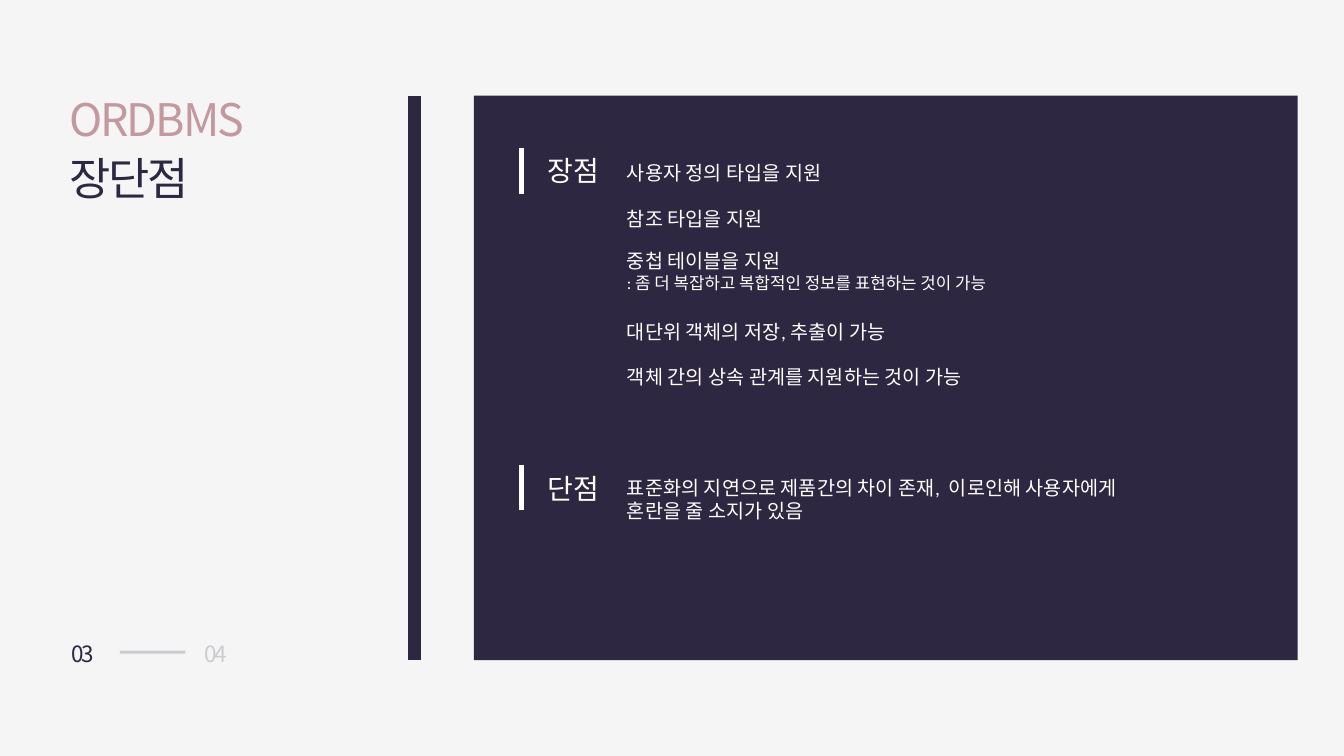
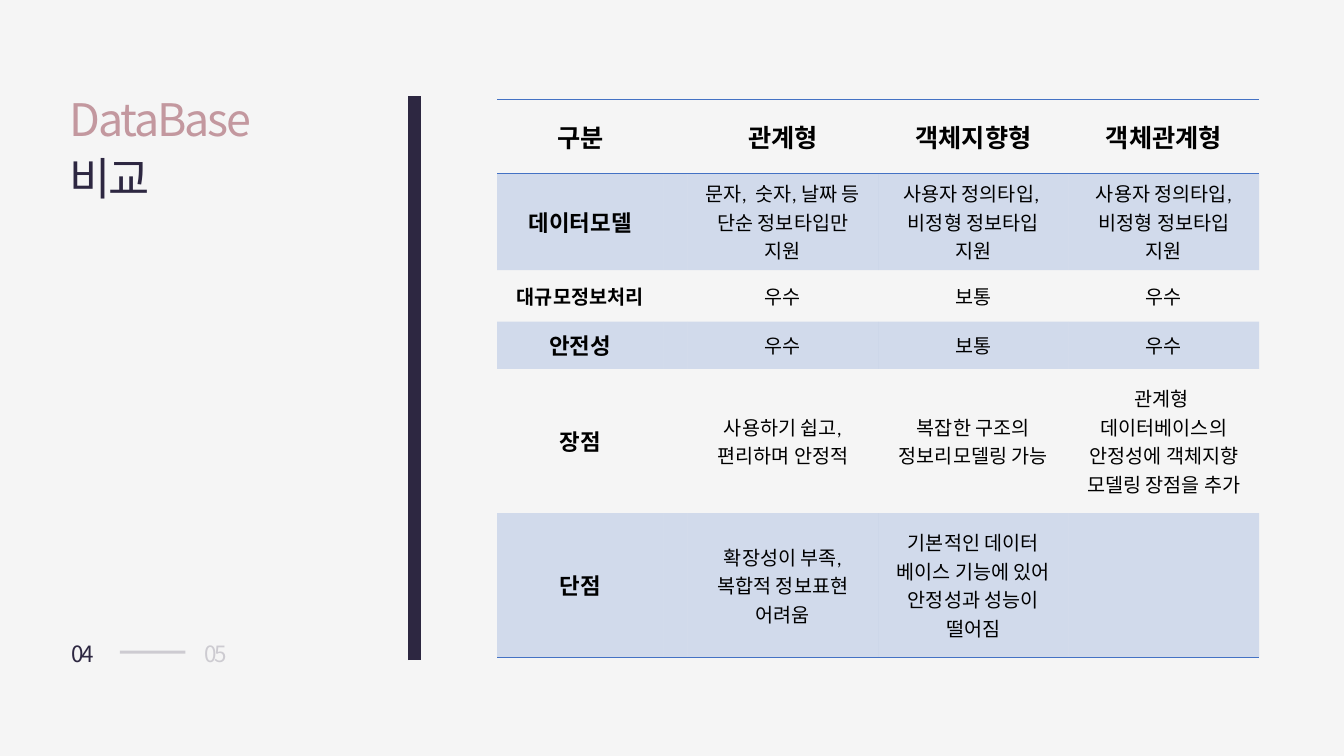
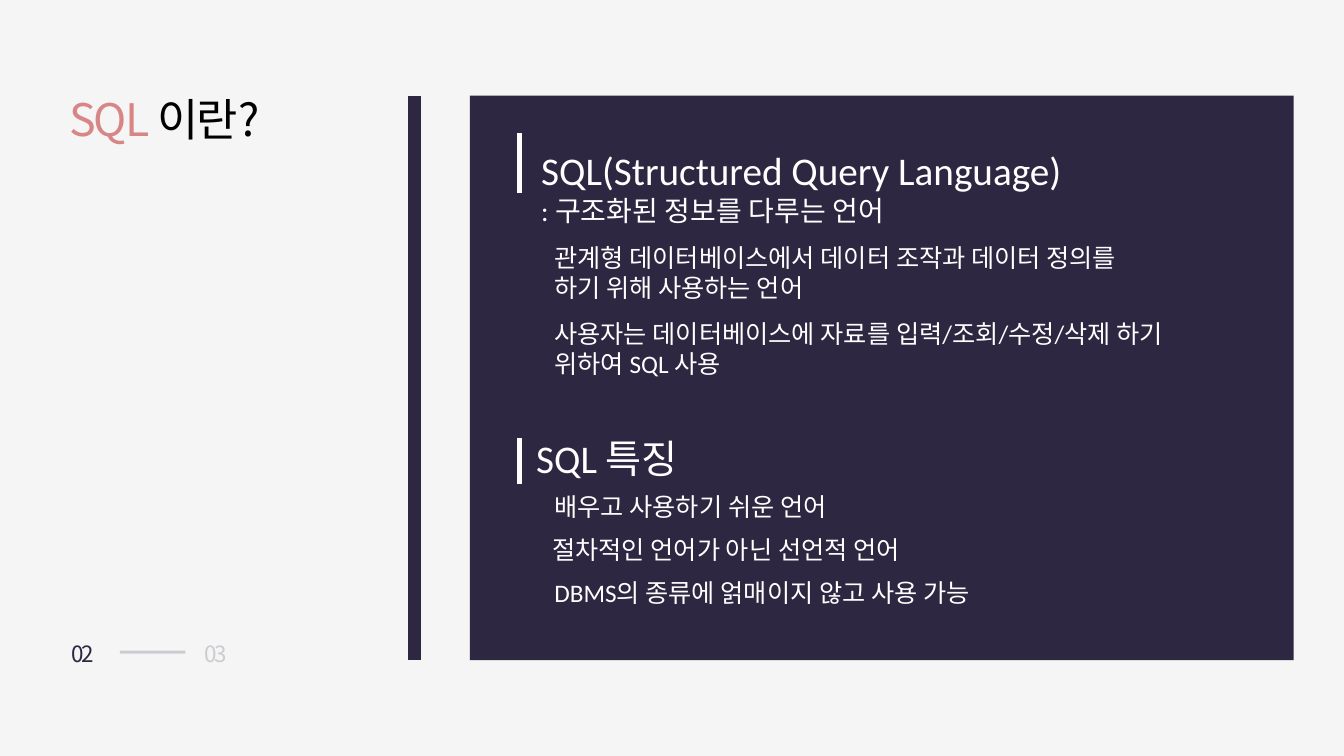
"""Build three slides on database models and SQL."""
from pptx import Presentation
from pptx.dml.color import RGBColor
from pptx.enum.shapes import MSO_CONNECTOR, MSO_SHAPE
from pptx.enum.text import MSO_ANCHOR, MSO_AUTO_SIZE, PP_ALIGN
from pptx.oxml.ns import qn
from pptx.util import Inches, Pt
from lxml.etree import SubElement

NAVY = RGBColor(0x2D, 0x27, 0x41)
ROSE = RGBColor(0xC3, 0x98, 0x9F)
CORAL = RGBColor(0xD7, 0x85, 0x85)
BLUE = RGBColor(0x44, 0x72, 0xC4)
PAPER = RGBColor(0xF5, 0xF5, 0xF5)
WHITE = RGBColor(0xFF, 0xFF, 0xFF)
BLACK = RGBColor(0, 0, 0)
BODY = "Calibri"
HEADING = "Noto Sans CJK KR"
PLAIN_TABLE = "{2D5ABB26-0587-4C30-8999-92F81FD0307C}"


def fade(element):
    """Make every colour inside the element 20 % opaque."""
    for colour in element.iter(qn("a:srgbClr")):
        SubElement(colour, qn("a:alpha"), val="20000")


class Deck:
    """Hold the shared style and the current slide."""

    def __init__(self):
        self.prs = Presentation()
        self.prs.slide_width, self.prs.slide_height = Inches(13.33), Inches(7.5)
        self.slide = None

    def start(self, title, number):
        """Add a slide with its title, divider and page marker."""
        self.slide = self.prs.slides.add_slide(self.prs.slide_layouts[6])
        self.slide.background.fill.solid()
        self.slide.background.fill.fore_color.rgb = PAPER
        self.line(4.11, 6.55, 4.11, 0.95, NAVY, 9.5)
        self.heading(0.59, 0.81, 2.2, 0.64 * len(title), title, 32)
        self.heading(0.61, 6.27, 0.49, 0.39, [[(f"{number:02}", NAVY)]], 16)
        fade(self.line(1.19, 6.47, 1.84, 6.47, NAVY, 2).line._ln)
        following = [[(f"{number + 1:02}", NAVY)]]
        fade(self.heading(1.93, 6.27, 0.49, 0.39, following, 16)._element)

    def line(self, x1, y1, x2, y2, colour, width):
        """Draw a straight line."""
        line = self.slide.shapes.add_connector(
            MSO_CONNECTOR.STRAIGHT, Inches(x1), Inches(y1), Inches(x2), Inches(y2))
        line.line.color.rgb = colour
        line.line.width = Pt(width)
        SubElement(line._element.spPr, qn("a:effectLst"))
        return line

    def marker(self, x, y):
        """Draw the short white bar beside a section heading."""
        self.line(x, y, x, y + 0.45, WHITE, 3.5)

    def panel(self, left):
        """Draw the dark content panel."""
        panel = self.slide.shapes.add_shape(
            MSO_SHAPE.RECTANGLE, Inches(left), Inches(0.95), Inches(8.17), Inches(5.6))
        panel.shadow.inherit = False
        panel.fill.solid()
        panel.fill.fore_color.rgb = NAVY
        panel.line.fill.background()

    def run(self, paragraph, text, size, colour, font=BODY, asian=BODY, bold=None):
        """Add one styled run."""
        run = paragraph.add_run()
        run.text = text
        run.font.size, run.font.name, run.font.bold = Pt(size), font, bold
        run.font.color.rgb = colour
        SubElement(run._r.get_or_add_rPr(), qn("a:ea"), typeface=asian)
        return run

    def box(self, x, y, width, height, wrap):
        """Add an empty text box."""
        box = self.slide.shapes.add_textbox(
            Inches(x), Inches(y), Inches(width), Inches(height))
        box.text_frame.word_wrap = wrap
        box.text_frame.auto_size = MSO_AUTO_SIZE.SHAPE_TO_FIT_TEXT
        return box

    def paragraphs(self, frame, count):
        """Return the given number of paragraphs of a text frame."""
        return [frame.paragraphs[0]] + [frame.add_paragraph() for _ in range(count - 1)]

    def heading(self, x, y, width, height, lines, size):
        """Add tightly spaced lines of (text, colour) runs."""
        box = self.box(x, y, width, height, False)
        for paragraph, parts in zip(self.paragraphs(box.text_frame, len(lines)), lines):
            paragraph.line_spacing = 1.1
            for text, colour in parts:
                run = self.run(paragraph, text, size, colour, HEADING)
                run._r.get_or_add_rPr().set("spc", "-150")
        return box

    def text(self, x, y, width, height, *lines, font=BODY):
        """Add white lines given as (text, size)."""
        frame = self.box(x, y, width, height, True).text_frame
        for paragraph, (text, size) in zip(self.paragraphs(frame, len(lines)), lines):
            self.run(paragraph, text, size, WHITE, font)

    def table(self, x, y, widths, heights, rows):
        """Add a banded table with rules around the header and at the foot."""
        table = self.slide.shapes.add_table(
            len(heights), len(widths), Inches(x), Inches(y),
            Inches(sum(widths)), Inches(sum(heights))).table
        table.first_row = table.horz_banding = False
        table._tbl.tblPr.find(qn("a:tableStyleId")).text = PLAIN_TABLE
        for column, width in zip(table.columns, widths):
            column.width = Inches(width)
        for r, (height, contents) in enumerate(zip(heights, rows)):
            table.rows[r].height = Inches(height)
            edges = {0: ("a:lnT", "a:lnB"), len(rows) - 1: ("a:lnB",)}.get(r, ())
            label_size = 18 if r == 0 else 14 if r == 2 else 16
            for c, content in enumerate(contents):
                bold = r == 0 or c == 0
                size = label_size if bold else 14
                self.cell(table.cell(r, c), content, size, bold, r % 2 == 1, edges)

    def cell(self, cell, content, size, bold, banded, edges):
        """Fill one table cell."""
        cell.vertical_anchor = MSO_ANCHOR.MIDDLE
        lines = content.split("\n") if content else []
        for paragraph, text in zip(self.paragraphs(cell.text_frame, len(lines)), lines):
            paragraph.alignment = PP_ALIGN.CENTER
            self.run(paragraph, text, size, BLACK, asian=HEADING, bold=bold)
        properties = cell._tc.get_or_add_tcPr()
        for edge in edges:
            rule = SubElement(properties, qn(edge), w=str(Pt(1)))
            fill = SubElement(rule, qn("a:solidFill"))
            SubElement(fill, qn("a:srgbClr"), val=str(BLUE))
        if banded:
            cell.fill.solid()
            cell.fill.fore_color.rgb = BLUE
            fade(properties.find(qn("a:solidFill")))
        else:
            cell.fill.background()


deck = Deck()

deck.start([[("ORDBMS", ROSE)], [("장단점", NAVY)]], 3)
deck.panel(4.7)
advantages = [
    (1.55, [("사용자 정의 타입을 지원", 14)]),
    (2, [("참조 타입을 지원", 14)]),
    (2.42, [("중첩 테이블을 지원", 14),
            (": 좀 더 복잡하고 복합적인 정보를 표현하는 것이 가능", 12)]),
    (3.12, [("대단위 객체의 저장, 추출이 가능", 14)]),
    (3.57, [("객체 간의 상속 관계를 지원하는 것이 가능", 14)]),
]
for top, lines in advantages:
    deck.text(6.12, top, 6.27, 0.34 if len(lines) == 1 else 0.54, *lines)
for bar_top, label_top, label in [(1.47, 1.47, "장점"), (4.61, 4.63, "단점")]:
    deck.marker(5.17, bar_top)
    deck.text(5.33, label_top, 1.34, 0.44, (label, 20), font=HEADING)
deck.text(6.12, 4.67, 5.59, 0.81, (
    "표준화의 지연으로 제품간의 차이 존재,  이로인해 사용자에게 혼란을 줄 소지가 있음", 14))

deck.start([[("DataBase", ROSE)], [("비교", NAVY)]], 4)
deck.table(4.93, 0.99, [1.65, 0.24, 1.89, 1.89, 1.89],
           [0.73, 0.96, 0.51, 0.47, 1.43, 1.43], [
    ["구분", "", "관계형", "객체지향형", "객체관계형"],
    ["데이터모델", "", "문자,  숫자, 날짜 등 단순 정보타입만\n지원",
     "사용자 정의타입,  비정형 정보타입\n지원", "사용자 정의타입, 비정형 정보타입\n지원"],
    ["대규모정보처리", "", "우수", "보통", "우수"],
    ["안전성", "", "우수", "보통", "우수"],
    ["장점", "", "사용하기 쉽고,\n편리하며 안정적", "복잡한 구조의\n정보리모델링 가능",
     "관계형  데이터베이스의 안정성에 객체지향 모델링 장점을 추가"],
    ["단점", "", "확장성이 부족, 복합적 정보표현\n어려움",
     "기본적인 데이터\n베이스 기능에 있어\n안정성과 성능이\n떨어짐", ""],
])

deck.start([[("SQL ", CORAL), ("이란?", BLACK)]], 2)
deck.panel(4.66)
for bar_top in (1.32, 1.46, 4.35):
    deck.marker(5.15, bar_top)
deck.text(5.27, 1.4, 5.76, 0.91, ("SQL(Structured Query Language)", 28),
          (": 구조화된 정보를 다루는 언어", 20))
deck.text(5.22, 4.26, 5.76, 0.57, ("SQL 특징", 28))
statements = [
    (5.4, 2.35, 6.27, 0.71,
     "관계형 데이터베이스에서 데이터 조작과 데이터 정의를 하기 위해 사용하는 언어"),
    (5.4, 3.11, 6.27, 0.71,
     "사용자는 데이터베이스에 자료를 입력/조회/수정/삭제 하기 위하여 SQL 사용"),
    (5.4, 4.83, 7.43, 0.4, "배우고 사용하기 쉬운 언어"),
    (5.38, 5.25, 7.43, 0.4, "절차적인 언어가 아닌 선언적 언어"),
    (5.4, 5.68, 7.43, 0.4, "DBMS의 종류에 얽매이지 않고 사용 가능"),
]
for left, top, width, height, statement in statements:
    deck.text(left, top, width, height, (statement, 18))

deck.prs.save("out.pptx")
